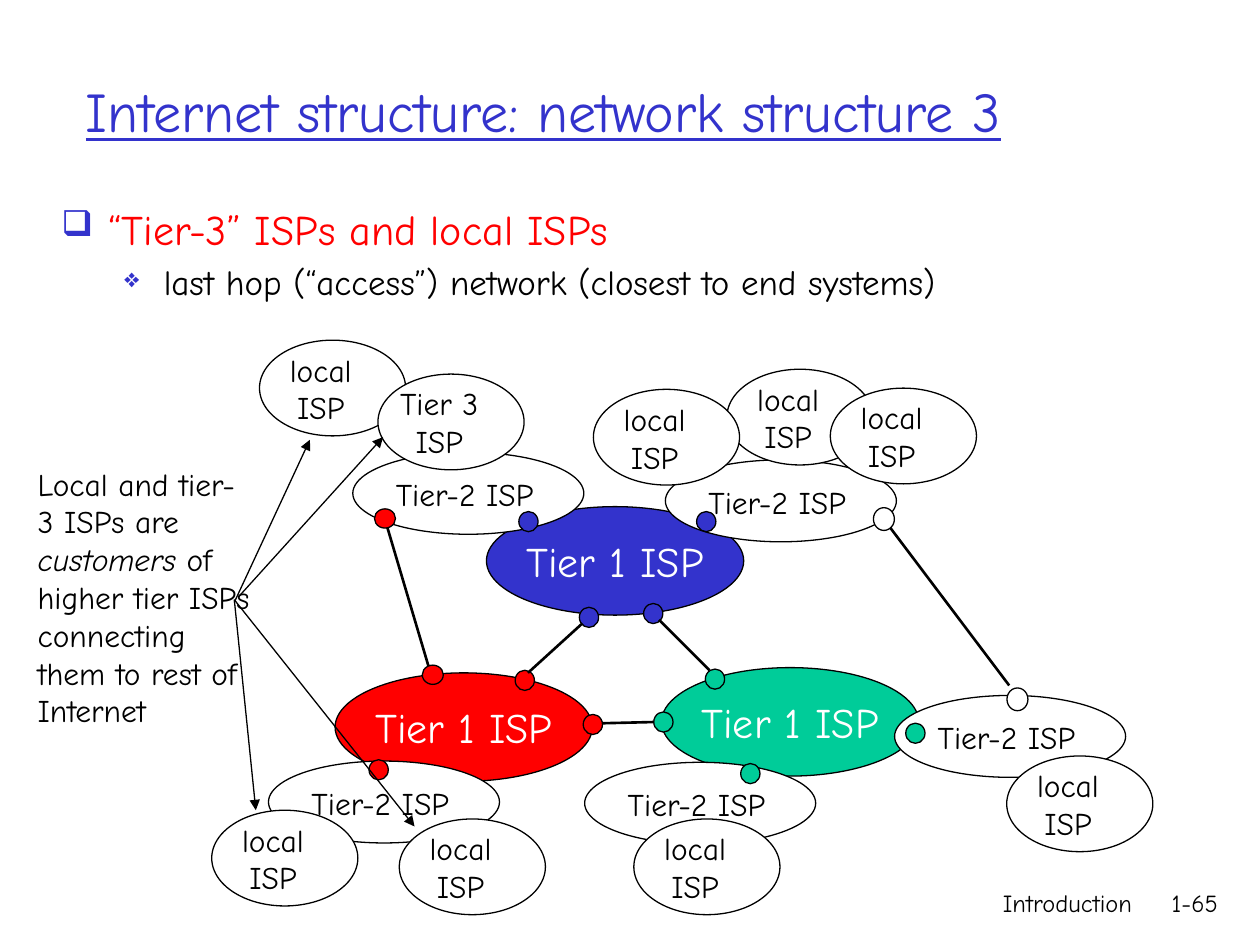
import pptx
import pptx.util
import pptx.dml.color
import pptx.enum.shapes
import pptx.enum.text
import pptx.oxml.ns
import lxml.etree

Pt = pptx.util.Pt
Color = pptx.dml.color.RGBColor
Align = pptx.enum.text.PP_ALIGN
Anchor = pptx.enum.text.MSO_ANCHOR
qn = pptx.oxml.ns.qn

BLACK = Color(0x00, 0x00, 0x00)
WHITE = Color(0xFF, 0xFF, 0xFF)
BLUE = Color(0x33, 0x33, 0xCC)
RED = Color(0xFF, 0x00, 0x00)
GREEN = Color(0x00, 0xCC, 0x99)
FONT = "Comic Neue"


def style(para, size, color=BLACK, align=Align.LEFT):
    para.alignment = align
    font = para.font
    font.name, font.size = FONT, Pt(size)
    font.color.rgb = color


def add_text(slide, box, lines, size, color=BLACK, align=Align.LEFT):
    frame = slide.shapes.add_textbox(*map(Pt, box)).text_frame
    frame.word_wrap = True
    for i, line in enumerate(lines):
        para = frame.paragraphs[0] if i == 0 else frame.add_paragraph()
        para.text = line
        style(para, size, color, align)
    return frame


def add_oval(slide, box, fill):
    oval = slide.shapes.add_shape(
        pptx.enum.shapes.MSO_SHAPE.OVAL, *map(Pt, box))
    oval.shadow.inherit = False
    oval.fill.solid()
    oval.fill.fore_color.rgb = fill
    oval.line.color.rgb = BLACK
    oval.line.width = Pt(0.75)
    return oval


def add_dot(slide, x, y, fill, wide=11, high=11.5):
    add_oval(slide, (x - wide / 2, y - high / 2, wide, high), fill)


def add_line(slide, x1, y1, x2, y2, width=1.5, arrow=False):
    line = slide.shapes.add_connector(
        pptx.enum.shapes.MSO_CONNECTOR.STRAIGHT, *map(Pt, (x1, y1, x2, y2)))
    line.line.color.rgb = BLACK
    line.line.width = Pt(width)
    if arrow:
        lxml.etree.SubElement(
            line.line._get_or_add_ln(), qn("a:tailEnd"), type="triangle")
    lxml.etree.SubElement(line._element.spPr, qn("a:effectLst"))


def add_bullet(para, char, scale, left, hang):
    props = para._p.get_or_add_pPr()
    props.set("marL", str(Pt(left)))
    props.set("indent", str(-Pt(hang)))
    tint = lxml.etree.SubElement(props, qn("a:buClr"))
    lxml.etree.SubElement(tint, qn("a:srgbClr"), val=str(BLUE))
    lxml.etree.SubElement(props, qn("a:buSzPct"), val=str(scale * 1000))
    lxml.etree.SubElement(props, qn("a:buChar"), char=char)


def add_title(slide, box):
    frame = add_text(slide, box, ["Internet structure: network structure 3"],
                     32, BLUE)
    frame.vertical_anchor = Anchor.MIDDLE
    frame.paragraphs[0].font.underline = True


def add_body(slide, box):
    frame = slide.shapes.add_textbox(*map(Pt, box)).text_frame
    frame.word_wrap = True
    head, sub = frame.paragraphs[0], frame.add_paragraph()
    head.text = "“Tier-3” ISPs and local ISPs"
    sub.text = "last hop (“access”) network (closest to end systems)"
    add_bullet(head, "❑", 85, 27, 27)
    add_bullet(sub, "❖", 75, 58.5, 22.5)
    sub.level = 1
    sub.space_before = Pt(4)
    style(head, 24, RED)
    style(sub, 20)


def add_core(slide, left, top):
    # Tier 1 networks
    for x, y, fill in ((71.5, 194.5, RED), (158, 99.5, BLUE),
                       (258, 191.5, GREEN)):
        oval = add_oval(slide, (left + x, top + y, 147, 62), fill)
        frame = oval.text_frame
        frame.word_wrap = False
        frame.vertical_anchor = Anchor.MIDDLE
        frame.text = "Tier 1 ISP"
        style(frame.paragraphs[0], 24, WHITE, Align.CENTER)
    # Peering points and the links between them
    for x, y, fill in ((288.6, 198.1, GREEN), (253.3, 160.6, BLUE),
                       (216.6, 162.8, BLUE), (179.9, 198.8, RED),
                       (218.8, 224, RED), (259.1, 222.6, GREEN)):
        add_dot(slide, left + x, top + y, fill)
    for x1, y1, x2, y2 in ((224.2, 223.3, 253.7, 222.6),
                           (256.6, 164.2, 285.4, 193),
                           (181.7, 194.5, 212.6, 166.4)):
        add_line(slide, left + x1, top + y1, left + x2, top + y2)


def add_middle(slide, left, top):
    # Tier-2 networks, each with its attachment point
    for x, y, dot_x, dot_y, fill in (
            (260.2, 72.8, 283.6, 108.1, BLUE), (81.6, 68.5, 182, 108.1, BLUE),
            (33.4, 244.9, 96.4, 249.9, RED),
            (214.1, 245.6, 308.8, 252.1, GREEN),
            (391.2, 207.4, 403.1, 229, GREEN)):
        add_oval(slide, (left + x, top + y, 132, 46.8), WHITE)
        add_text(slide, (left + x + 17.5, top + y + 9.4, 106, 29),
                 ["Tier-2 ISP"], 18)
        add_dot(slide, left + dot_x, top + dot_y, fill)
    # Red link and white link
    for ends, line, fill, high in (
            (((100, 106.3), (127.3, 195.6)),
             (101, 110.2, 126.2, 195.2), RED, 11),
            (((385.1, 106.6), (461.4, 209.6)),
             (388.3, 111, 456.7, 201.7), WHITE, 13)):
        x1, y1, x2, y2 = line
        add_line(slide, left + x1, top + y1, left + x2, top + y2)
        for x, y in ends:
            add_dot(slide, left + x, top + y, fill, 12, high)


def add_edge(slide, left, top):
    # Local and tier 3 networks
    for x, y, name in (
            (295.4, 21, "local"), (219.1, 32.5, "local"),
            (354.5, 31.8, "local"), (1, 273, "local"), (28.3, 4.4, "local"),
            (96, 23.8, "Tier 3"), (108.2, 278, "local"),
            (242.2, 278, "local"), (455.3, 242, "local")):
        add_oval(slide, (left + x, top + y, 83.5, 54.7), WHITE)
        add_text(slide, (left + x + 1.5, top + y + 2.4, 67, 50.4),
                 [name, "ISP"], 18, align=Align.CENTER)


def add_note(slide, box):
    left, top = box[:2]
    frame = add_text(slide, box, ["", "higher tier ISPs",
                                  "connecting them to rest of Internet"], 18)
    first = frame.paragraphs[0]
    for text, slant in (("Local and tier- 3 ISPs are ", False),
                        ("customers", True), (" of", False)):
        run = first.add_run()
        run.text = text
        run.font.italic = slant
    # Arrows to the customer networks
    for x1, y1, x2, y2 in ((119.5, 82.2, 162.7, -10.7),
                           (121.7, 79.3, 204.5, -12.2),
                           (119.5, 80.7, 131.8, 201),
                           (119.5, 80.7, 222.5, 210.3)):
        add_line(slide, left + x1, top + y1, left + x2, top + y2, 0.75, True)


def add_foot(slide, left, top):
    for x, wide, text in ((0, 228, "Introduction"), (228, 49, "1-65")):
        add_text(slide, (left + x, top, wide, 36), [text], 14,
                 align=Align.RIGHT)


def main():
    deck = pptx.Presentation()
    deck.slide_width, deck.slide_height = Pt(720), Pt(540)
    slide = deck.slides.add_slide(deck.slide_layouts[6])
    add_foot(slide, 426, 504)
    add_title(slide, (42, 18, 637, 90))
    add_body(slide, (28, 112.5, 665, 72))
    for part in (add_core, add_middle, add_edge):
        part(slide, 120, 190)
    add_note(slide, (14.4, 262, 142, 180))
    deck.save("out.pptx")


if __name__ == "__main__":
    main()
